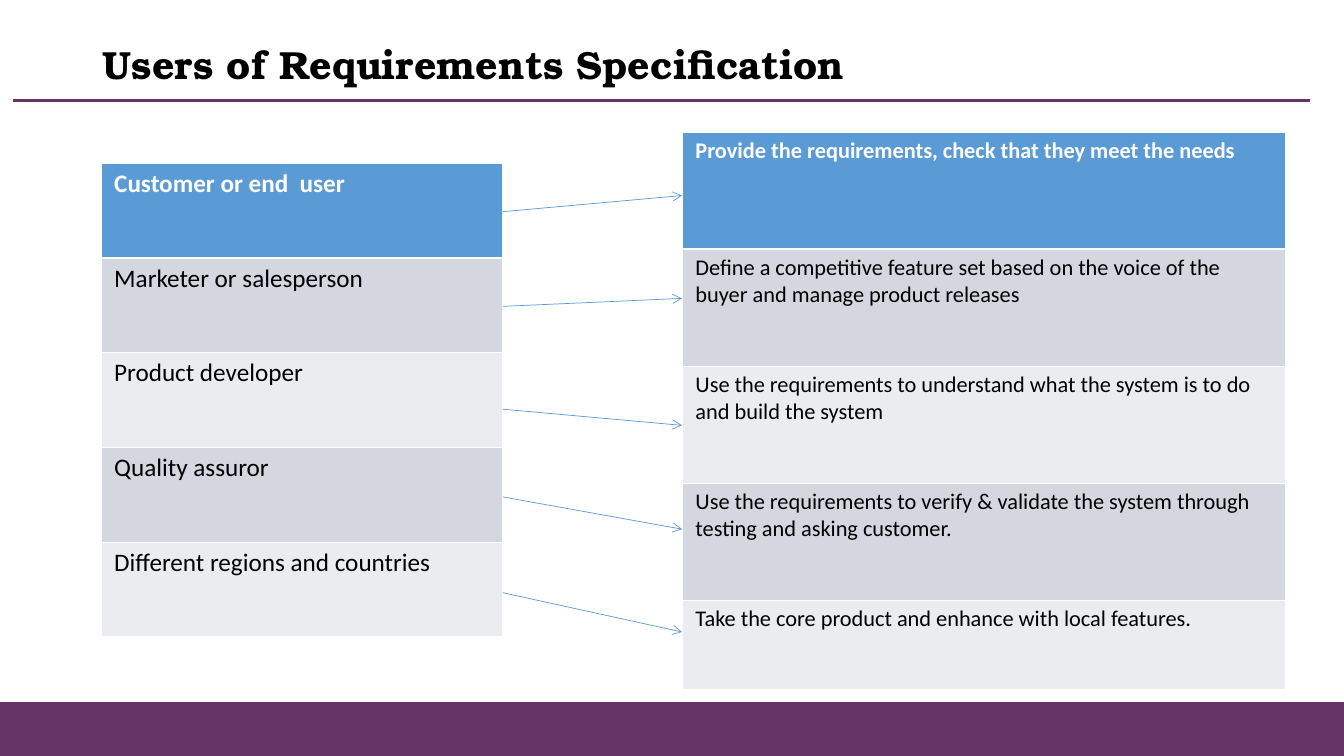
from dataclasses import dataclass

from pptx import Presentation
from pptx.dml.color import RGBColor
from pptx.enum.shapes import MSO_CONNECTOR as Connector, MSO_SHAPE as Shape
from pptx.enum.text import MSO_ANCHOR as Anchor, MSO_AUTO_SIZE as AutoSize, PP_ALIGN as Align
from pptx.oxml import parse_xml
from pptx.oxml.ns import nsdecls, qn
from pptx.util import Inches, Pt


@dataclass(frozen=True)
class Theme:
    purple: str = "663366"
    blue: str = "5B9BD5"
    dark_band: str = "D5D7E0"
    light_band: str = "EBECF0"
    white: str = "FFFFFF"
    black: str = "000000"
    title_font: str = "TeX Gyre Bonum"
    body_font: str = "Calibri"
    title_size: float = 28
    user_size: float = 18
    task_size: float = 16
    rule_width: float = 2.25
    arrow_width: float = 0.5
    border_width: float = 0.45
    header_border_width: float = 1.47


THEME = Theme()
SLIDE_WIDTH, SLIDE_HEIGHT = Inches(13.34), Inches(7.5)

# Each user, the task, and the heights where the arrow leaves and arrives
USERS_AND_TASKS = [
    ("Customer or end  user",
     "Provide the requirements, check that they meet the needs", 28, 25.87),
    ("Marketer or salesperson",
     "Define a competitive feature set based on the voice of the buyer "
     "and manage product releases", 40.53, 39.47),
    ("Product developer",
     "Use the requirements to understand what the system is to do "
     "and build the system", 54.13, 56.27),
    ("Quality assuror",
     "Use the requirements to verify & validate the system through "
     "testing and asking customer.", 65.73, 70),
    ("Different regions and countries",
     "Take the core product and enhance with local features.", 78.4, 83.6),
]
USERS_LEFT, USERS_WIDTH = 7.5, 29.91
TASKS_LEFT, TASKS_WIDTH = 50.75, 44.9


def across(percent):
    return round(SLIDE_WIDTH * percent / 100)


def down(percent):
    return round(SLIDE_HEIGHT * percent / 100)


def style_text(paragraph, font_name, size, color, bold):
    for run in paragraph.runs:
        run.font.name = font_name
        run.font.size = Pt(size)
        run.font.bold = bold
        run.font.color.rgb = RGBColor.from_string(color)


def add_title(slide, text):
    title = slide.shapes.title
    title.left, title.top = across(6.9), down(4)
    title.width, title.height = across(86.21), down(9.73)
    frame = title.text_frame
    frame.text = text
    frame.auto_size = AutoSize.NONE
    frame.vertical_anchor = Anchor.MIDDLE
    heading = frame.paragraphs[0]
    heading.alignment = Align.LEFT
    heading.line_spacing = 0.9
    style_text(heading, THEME.title_font, THEME.title_size, THEME.black, True)


def add_footer_band(slide):
    band = slide.shapes.add_shape(Shape.RECTANGLE, 0, down(92.93), SLIDE_WIDTH, down(7.07))
    band.shadow.inherit = False
    band.fill.solid()
    band.fill.fore_color.rgb = RGBColor.from_string(THEME.purple)
    band.line.color.rgb = RGBColor.from_string(THEME.purple)
    band.line.width = Pt(1)


def add_line(slide, start, end, color, width, arrow=False):
    """Draw a line between two (column, row) points given in percent."""
    line = slide.shapes.add_connector(
        Connector.STRAIGHT, across(start[0]), down(start[1]), across(end[0]), down(end[1]))
    line.line.color.rgb = RGBColor.from_string(color)
    line.line.width = Pt(width)
    properties = line._element.spPr
    if arrow:
        outline = properties.find(qn("a:ln"))
        outline.append(parse_xml(f'<a:tailEnd {nsdecls("a")} type="arrow"/>'))
    properties.append(parse_xml(f'<a:effectLst {nsdecls("a")}/>'))


def set_borders(cell, top, bottom):
    """Outline a cell in white, with its own top and bottom widths in points."""
    widths = {"lnL": THEME.border_width, "lnR": THEME.border_width, "lnT": top, "lnB": bottom}
    properties = cell._tc.get_or_add_tcPr()
    for position, (side, width) in enumerate(widths.items()):
        properties.insert(position, parse_xml(
            f'<a:{side} {nsdecls("a")} w="{Pt(width)}"><a:solidFill>'
            f'<a:srgbClr val="{THEME.white}"/></a:solidFill></a:{side}>'))


def fill_cell(cell, text, row, size):
    header = row == 0
    band = THEME.dark_band if row % 2 else THEME.light_band
    cell.text = text
    cell.margin_left = cell.margin_right = across(1)
    cell.margin_top = cell.margin_bottom = down(0.67)
    cell.fill.solid()
    cell.fill.fore_color.rgb = RGBColor.from_string(THEME.blue if header else band)
    style_text(cell.text_frame.paragraphs[0], THEME.body_font, size,
               THEME.white if header else THEME.black, header)
    set_borders(cell,
                top=THEME.header_border_width if row == 1 else THEME.border_width,
                bottom=THEME.header_border_width if header else THEME.border_width)


def add_banded_list(slide, texts, left, top, width, row_heights, size):
    """Add a one-column table whose first row is the coloured header."""
    table = slide.shapes.add_table(
        len(texts), 1, across(left), down(top), across(width), down(sum(row_heights))).table
    for row, (text, height) in enumerate(zip(texts, row_heights)):
        table.rows[row].height = down(height)
        fill_cell(table.cell(row, 0), text, row, size)


def main():
    deck = Presentation()
    deck.slide_width, deck.slide_height = SLIDE_WIDTH, SLIDE_HEIGHT
    slide = deck.slides.add_slide(deck.slide_layouts.get_by_name("Title Only"))

    add_footer_band(slide)
    add_line(slide, (0.97, 13.33), (97.45, 13.33), THEME.purple, THEME.rule_width)
    add_title(slide, "Users of Requirements Specification")

    users, tasks, departures, arrivals = zip(*USERS_AND_TASKS)
    add_banded_list(slide, users, USERS_LEFT, 21.6, USERS_WIDTH,
                    [12.53] * len(users), THEME.user_size)
    add_banded_list(slide, tasks, TASKS_LEFT, 17.47, TASKS_WIDTH,
                    [15.47] * (len(tasks) - 1) + [11.87], THEME.task_size)
    for departure, arrival in zip(departures, arrivals):
        add_line(slide, (USERS_LEFT + USERS_WIDTH, departure), (TASKS_LEFT, arrival),
                 THEME.blue, THEME.arrow_width, arrow=True)

    deck.save("out.pptx")


if __name__ == "__main__":
    main()
